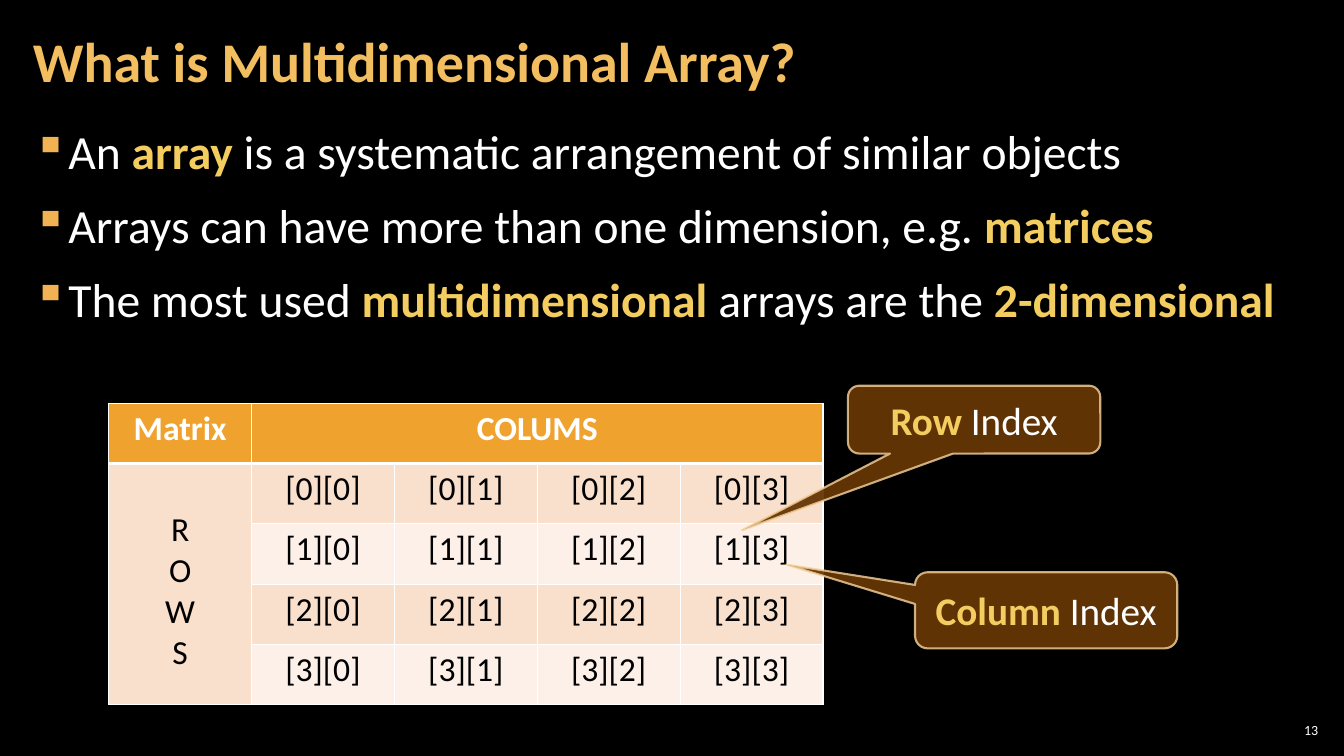
from lxml.etree import SubElement
from pptx import Presentation
from pptx.dml.color import RGBColor
from pptx.enum.shapes import MSO_SHAPE as Shape
from pptx.enum.text import MSO_ANCHOR as Anchor, PP_ALIGN as Align
from pptx.oxml.ns import qn
from pptx.util import Cm, Pt

FONT = "Calibri"
WHITE, BLACK, YELLOW = "FFFFFF", "000000", "F3CD60"
HEADER, BAND_DARK, BAND_LIGHT = "F0A22E", "F9E0CD", "FCF0E8"
BULLETS = [
    [("An ", False), ("array ", True),
     ("is a systematic arrangement of similar objects", False)],
    [("Arrays can have more than one dimension, e.g. ", False), ("matrices", True)],
    [("The most used ", False), ("multidimensional", True),
     (" arrays are the ", False), ("2-dimensional", True)],
]


def color(value):
    return RGBColor.from_string(value)


def add_run(paragraph, text, size, value=WHITE, bold=False):
    run = paragraph.add_run()
    run.text = text
    run.font.name = FONT
    run.font.size = Pt(size)
    run.font.bold = bold
    run.font.color.rgb = color(value)


def add_marked_runs(paragraph, parts, size):
    for text, marked in parts:
        add_run(paragraph, text, size, YELLOW if marked else WHITE, marked)


def add_text_box(slide, left, top, width, height, side_inset, anchor=Anchor.TOP):
    box = slide.shapes.add_textbox(Cm(left), Cm(top), Cm(width), Cm(height))
    frame = box.text_frame
    frame.word_wrap = True
    frame.vertical_anchor = anchor
    frame.margin_left = frame.margin_right = Cm(side_inset)
    frame.margin_top = frame.margin_bottom = Cm(0.1)
    return frame


def next_paragraph(frame, index):
    return frame.paragraphs[0] if index == 0 else frame.add_paragraph()


def add_bullet(paragraph):
    properties = paragraph._p.get_or_add_pPr()
    properties.set("marL", str(Cm(0.84)))
    properties.set("indent", str(Cm(-0.84)))
    bullet_color = SubElement(properties, qn("a:buClr"))
    SubElement(bullet_color, qn("a:srgbClr"), val="F2B254")
    SubElement(properties, qn("a:buChar"), char="▪")


def add_bullet_list(slide):
    frame = add_text_box(slide, 0.53, 2.97, 32.79, 15.7, 0.3)
    for index, parts in enumerate(BULLETS):
        paragraph = next_paragraph(frame, index)
        add_bullet(paragraph)
        paragraph.space_before = Pt(6 if index else 0)
        paragraph.space_after = Pt(6)
        add_marked_runs(paragraph, parts, 34)


def set_borders(cell, top=1, bottom=1):
    properties = cell._tc.get_or_add_tcPr()
    for side, width in (("L", 1), ("R", 1), ("T", top), ("B", bottom)):
        line = SubElement(properties, qn(f"a:ln{side}"), w=str(Pt(width)))
        fill = SubElement(line, qn("a:solidFill"))
        SubElement(fill, qn("a:srgbClr"), val=WHITE)


def set_fill(cell, row):
    cell.fill.solid()
    band = BAND_DARK if row % 2 else BAND_LIGHT
    cell.fill.fore_color.rgb = color(band if row else HEADER)


def write_cell(cell, lines, value=BLACK, bold=False):
    for index, text in enumerate(lines):
        paragraph = next_paragraph(cell.text_frame, index)
        paragraph.alignment = Align.CENTER
        add_run(paragraph, text, 24, value, bold)


def add_matrix(slide):
    size = 5
    table = slide.shapes.add_table(
        size, size, Cm(2.74), Cm(10.16), Cm(18), Cm(7.62)).table
    for column in table.columns:
        column.width = Cm(3.6)
    for row in range(size):
        table.rows[row].height = Cm(1.52)
        for column in range(size):
            cell = table.cell(row, column)
            set_borders(cell, 3 if row == 1 else 1, 3 if row == 0 else 1)
            set_fill(cell, row)
            if row and column:
                write_cell(cell, [f"[{row - 1}][{column - 1}]"])
    table.cell(0, 1).merge(table.cell(0, 4))
    table.cell(1, 0).merge(table.cell(4, 0))
    write_cell(table.cell(0, 0), ["Matrix"], WHITE, True)
    write_cell(table.cell(0, 1), ["COLUMS"], WHITE, True)
    table.cell(1, 0).margin_top = Cm(1.16)
    write_cell(table.cell(1, 0), "ROWS")


def set_opacity(fill, percent):
    for element in fill.iterchildren(qn("a:solidFill")):
        SubElement(element[0], qn("a:alpha"), val=str(percent * 1000))


def add_callout(slide, left, top, width, height, tip, word):
    shape = slide.shapes.add_shape(
        Shape.ROUNDED_RECTANGULAR_CALLOUT, Cm(left), Cm(top), Cm(width), Cm(height))
    shape.shadow.inherit = False
    shape.adjustments[0], shape.adjustments[1] = tip
    shape.fill.solid()
    shape.fill.fore_color.rgb = color("663606")
    shape.line.color.rgb = color("F8D49E")
    shape.line.width = Pt(1.5)
    properties = shape._element.spPr
    set_opacity(properties, 95)
    set_opacity(properties.find(qn("a:ln")), 80)
    shape.text_frame.word_wrap = True
    shape.text_frame.vertical_anchor = Anchor.MIDDLE
    paragraph = shape.text_frame.paragraphs[0]
    paragraph.alignment = Align.CENTER
    add_marked_runs(paragraph, [(f"{word} ", True), ("Index", False)], 28)


def add_title(slide):
    frame = add_text_box(slide, 0.53, 0.1, 26.59, 3.07, 0.3, Anchor.MIDDLE)
    paragraph = frame.paragraphs[0]
    paragraph.line_spacing = 0.9
    add_run(paragraph, "What is Multidimensional Array?", 40, "F3BE60", True)


def add_page_number(slide):
    frame = add_text_box(slide, 32.13, 18.14, 1.19, 0.53, 0.1, Anchor.MIDDLE)
    paragraph = frame.paragraphs[0]
    paragraph.alignment = Align.RIGHT
    add_run(paragraph, "13", 10)


def main():
    presentation = Presentation()
    presentation.slide_width = Cm(33.87)
    presentation.slide_height = Cm(19.05)
    slide = presentation.slides.add_slide(presentation.slide_layouts[6])
    slide.background.fill.solid()
    slide.background.fill.fore_color.rgb = color(BLACK)
    add_page_number(slide)
    add_bullet_list(slide)
    add_title(slide)
    add_matrix(slide)
    add_callout(slide, 21.37, 9.72, 6.36, 1.71, (-0.92, 1.63), "Row")
    add_callout(slide, 23.06, 14.42, 6.61, 1.92, (-0.99, -0.6), "Column")
    presentation.save("out.pptx")


if __name__ == "__main__":
    main()
